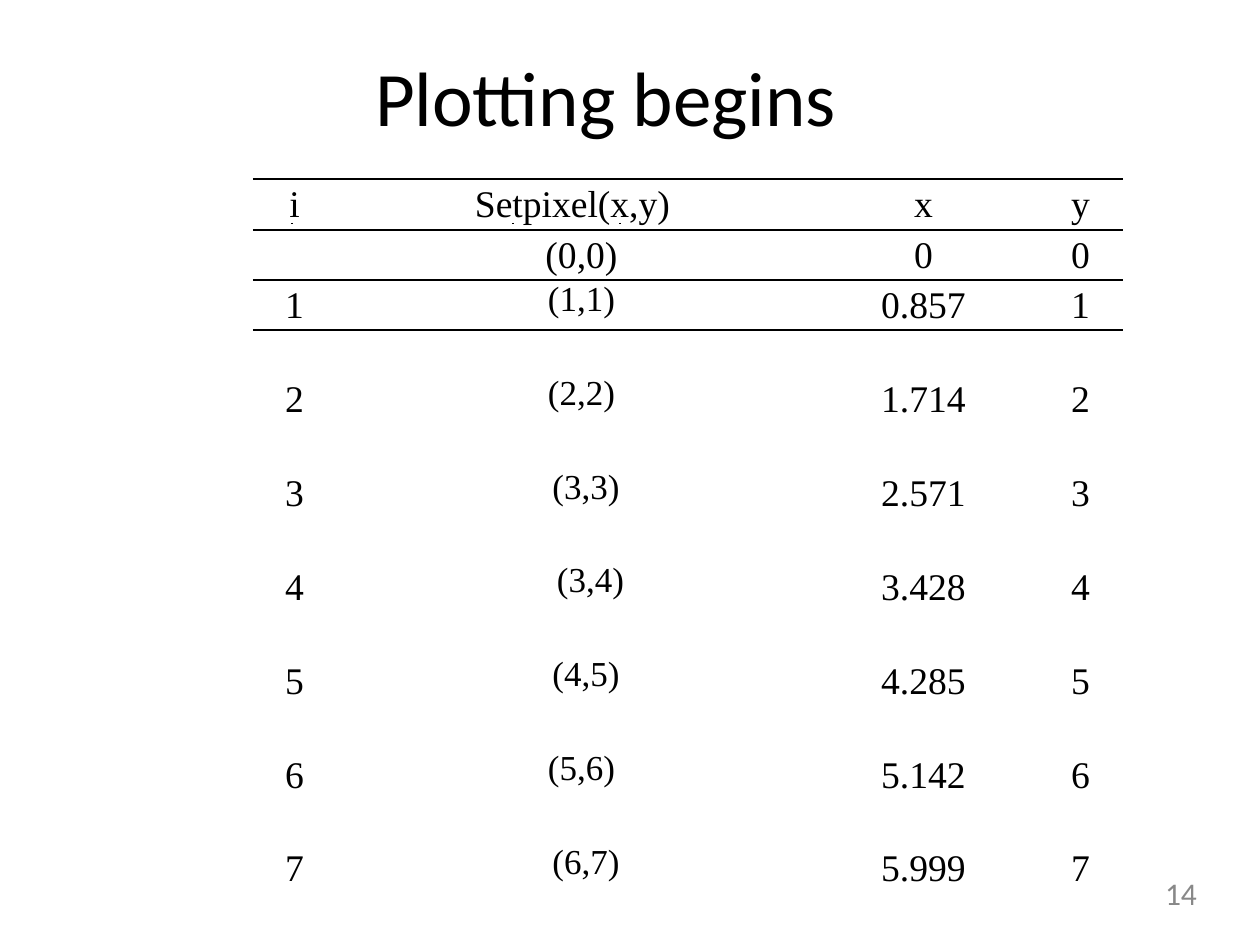
from lxml import etree
from pptx import Presentation
from pptx.dml.color import RGBColor
from pptx.enum.text import MSO_ANCHOR, MSO_AUTO_SIZE, PP_ALIGN
from pptx.oxml.ns import qn
from pptx.util import Pt

EMU_PER_PX = 914400 / 126
TOP = MSO_ANCHOR.TOP
NO_AUTOFIT = MSO_AUTO_SIZE.NONE
LEFT, CENTER, RIGHT = PP_ALIGN.LEFT, PP_ALIGN.CENTER, PP_ALIGN.RIGHT
COLORS = {"ink": "000000", "page_number": "888888"}
PLAIN_TABLE_STYLE = "{2D5ABB26-0587-4C30-8999-92F81FD0307C}"
TITLE_ONLY = 5

HEADINGS = ("i", "Setpixel(x,y)", "x", "y")
START = ("", "(0,0)", "0", "0")
STEPS = (
    ("1", "(1,1)", "0.857", "1"),
    ("2", "(2,2)", "1.714", "2"),
    ("3", "(3,3)", "2.571", "3"),
    ("4", "(3,4)", "3.428", "4"),
    ("5", "(4,5)", "4.285", "5"),
    ("6", "(5,6)", "5.142", "6"),
    ("7", "(6,7)", "5.999", "7"),
)
PIXEL_INDENTS = (18, 18, 27, 36, 27, 18, 27)
COLUMN_WIDTHS = (83, 473, 229, 85)
HEADING_HEIGHT, ROW_HEIGHT, GAP_HEIGHT = 51, 50, 44
PIXEL_COLUMN = 1


def px(length):
    return round(length * EMU_PER_PX)


def format_text(frame, font_name, size, color, align, line_spacing=None):
    paragraph = frame.paragraphs[0]
    paragraph.alignment = align
    if line_spacing:
        paragraph.line_spacing = line_spacing
    for run in paragraph.runs:
        run.font.name = font_name
        run.font.size = Pt(size)
        run.font.color.rgb = RGBColor.from_string(COLORS[color])


def clear_margins(box):
    box.margin_left = box.margin_right = 0
    box.margin_top = box.margin_bottom = 0


def prepare_frame(frame, text):
    clear_margins(frame)
    frame.word_wrap = True
    frame.auto_size = NO_AUTOFIT
    frame.vertical_anchor = TOP
    frame.text = text


def add_title(slide, text):
    title = slide.shapes.title
    title.left, title.top = px(375), px(49)
    title.width, title.height = px(509), px(96)
    prepare_frame(title.text_frame, text)
    format_text(title.text_frame, "Calibri", 44, "ink", LEFT)


def add_page_number(slide, text):
    number = slide.shapes.add_textbox(px(907), px(878), px(290), px(48))
    prepare_frame(number.text_frame, text)
    format_text(number.text_frame, "Calibri", 18, "page_number", RIGHT, 0.91)


def rule_cell(cell, sides):
    properties = cell._tc.get_or_add_tcPr()
    for side in sides:
        border = etree.SubElement(properties, qn(f"a:ln{side}"), w=str(Pt(1)))
        fill = etree.SubElement(border, qn("a:solidFill"))
        etree.SubElement(fill, qn("a:srgbClr"), val=COLORS["ink"])


def fill_cell(cell, text, size, line_spacing, indent, sides):
    clear_margins(cell)
    cell.margin_left = px(indent)
    cell.vertical_anchor = TOP
    rule_cell(cell, sides)
    cell.fill.background()
    if text:
        cell.text_frame.text = text
        format_text(cell.text_frame, "Times New Roman", size, "ink", CENTER, line_spacing)


def add_pixel_table(slide):
    records = [(HEADINGS, HEADING_HEIGHT, 0, "TB"), (START, ROW_HEIGHT, 18, "TB")]
    for step, indent in zip(STEPS, PIXEL_INDENTS):
        sides = "T" if step is STEPS[0] else ""
        records.append((step, ROW_HEIGHT, indent, sides))
        records.append(([""] * len(HEADINGS), GAP_HEIGHT, 0, ""))
    height = sum(record[1] for record in records)
    frame = slide.shapes.add_table(
        len(records), len(HEADINGS), px(253), px(179), px(sum(COLUMN_WIDTHS)), px(height)
    )
    table = frame.table
    table.first_row = table.horz_banding = False
    table._tbl.tblPr.find(qn("a:tableStyleId")).text = PLAIN_TABLE_STYLE
    for column, width in zip(table.columns, COLUMN_WIDTHS):
        column.width = px(width)
    for row, (texts, row_height, indent, sides) in zip(table.rows, records):
        row.height = px(row_height)
        for index, (cell, text) in enumerate(zip(row.cells, texts)):
            in_pixel_column = index == PIXEL_COLUMN
            step_pixel = in_pixel_column and texts in STEPS
            size, spacing = (20, None) if step_pixel else (21.5, 1.12)
            fill_cell(cell, text, size, spacing, indent if in_pixel_column else 0, sides)


def add_tick(slide, x, y):
    builder = slide.shapes.build_freeform(px(x), px(y))
    builder.add_line_segments([(px(x), px(y + 1))], close=False)
    tick = builder.convert_to_shape()
    tick.shadow.inherit = False
    tick.fill.background()
    tick.line.color.rgb = RGBColor.from_string(COLORS["ink"])
    tick.line.width = Pt(0.75)


def main():
    presentation = Presentation()
    presentation.slide_width, presentation.slide_height = px(1260), px(945)
    slide = presentation.slides.add_slide(presentation.slide_layouts[TITLE_ONLY])
    add_title(slide, "Plotting begins")
    add_pixel_table(slide)
    for y in (179, 223):
        for x in (292, 513, 620):
            add_tick(slide, x, y)
    add_page_number(slide, "14")
    presentation.save("out.pptx")


if __name__ == "__main__":
    main()
